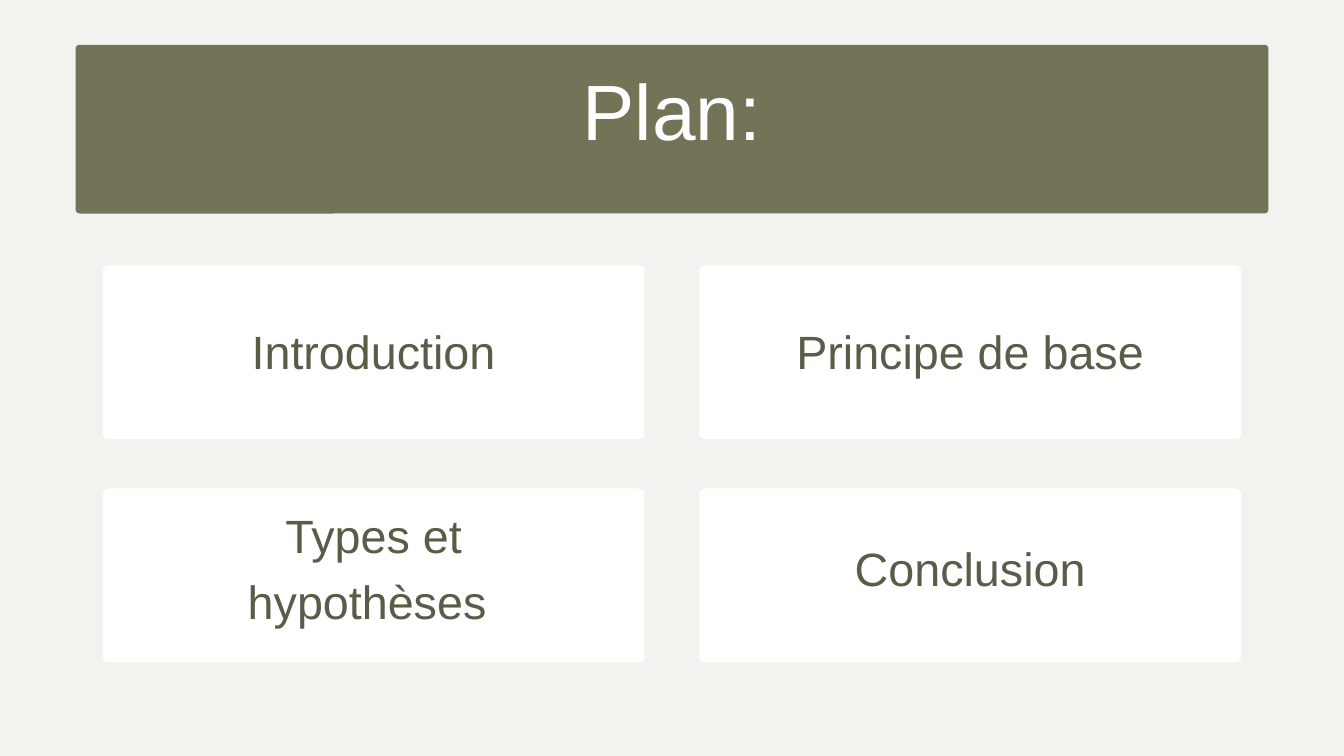
from dataclasses import dataclass

from pptx import Presentation
from pptx.dml.color import RGBColor
from pptx.enum.shapes import MSO_SHAPE as Shape
from pptx.enum.text import MSO_AUTO_SIZE as AutoSize, PP_ALIGN as Align
from pptx.util import Pt


@dataclass(frozen=True)
class Theme:
    """Colours, font and type sizes of the slide."""
    background: RGBColor = RGBColor.from_string("F2F2EF")
    banner: RGBColor = RGBColor.from_string("727357")
    white: RGBColor = RGBColor.from_string("FFFFFF")
    ink: RGBColor = RGBColor.from_string("5B5C48")
    font: str = "Arial"
    title_size: float = 84
    card_size: float = 50
    leading: float = 1.4


THEME = Theme()


def apply(target, values):
    """Set each attribute named in a dict of format values."""
    for name, value in values.items():
        setattr(target, name, value)


def add_panel(s, box, radius, color):
    """Draw a borderless panel with rounded corners."""
    sp = s.shapes.add_shape(Shape.ROUNDED_RECTANGLE, *map(Pt, box))
    sp.adjustments[0] = radius / min(box[2:])
    sp.shadow.inherit = False
    sp.fill.solid()
    sp.fill.fore_color.rgb = color
    sp.line.fill.background()


def add_label(s, box, text, size, color):
    """Write one centred paragraph in a box without margins."""
    tf = s.shapes.add_textbox(*map(Pt, box)).text_frame
    apply(tf, {"word_wrap": True, "auto_size": AutoSize.SHAPE_TO_FIT_TEXT,
               "margin_left": 0, "margin_right": 0,
               "margin_top": 0, "margin_bottom": 0})
    p = tf.paragraphs[0]
    apply(p, {"alignment": Align.CENTER,
              "line_spacing": Pt(size * THEME.leading)})
    r = p.add_run()
    r.text = text
    apply(r.font, {"name": THEME.font, "size": Pt(size)})
    r.font.color.rgb = color


def add_cards(s, cards):
    """Lay out the plan's topics on a grid of two columns."""
    left, top, width, height = 110.2, 284.4, 580.3, 186.2
    step_x, step_y = 639.2, 239
    label_width = 375
    for i, (topic, label_top, label_height) in enumerate(cards):
        row, col = divmod(i, 2)
        x = left + col * step_x
        add_panel(s, (x, top + row * step_y, width, height), 5.8, THEME.white)
        label_x = x + (width - label_width) / 2
        add_label(s, (label_x, label_top, label_width, label_height),
                  topic, THEME.card_size, THEME.ink)


def main():
    """Build the plan slide and save it."""
    prs = Presentation()
    apply(prs, {"slide_width": Pt(1440), "slide_height": Pt(810)})
    s = prs.slides.add_slide(prs.slide_layouts[6])
    s.background.fill.solid()
    s.background.fill.fore_color.rgb = THEME.background

    add_panel(s, (81, 48, 1278, 180.8), 4.2, THEME.banner)
    add_label(s, (188.2, 49.7, 1063.6, 131.8), "Plan:",
              THEME.title_size, THEME.white)
    add_cards(s, [
        ("Introduction", 335.5, 77.8),
        ("Principe de base", 335.5, 77.8),
        ("Types et hypothèses ", 533.5, 147.6),
        ("Conclusion", 568.8, 77.8),
    ])
    prs.save("out.pptx")


if __name__ == "__main__":
    main()
